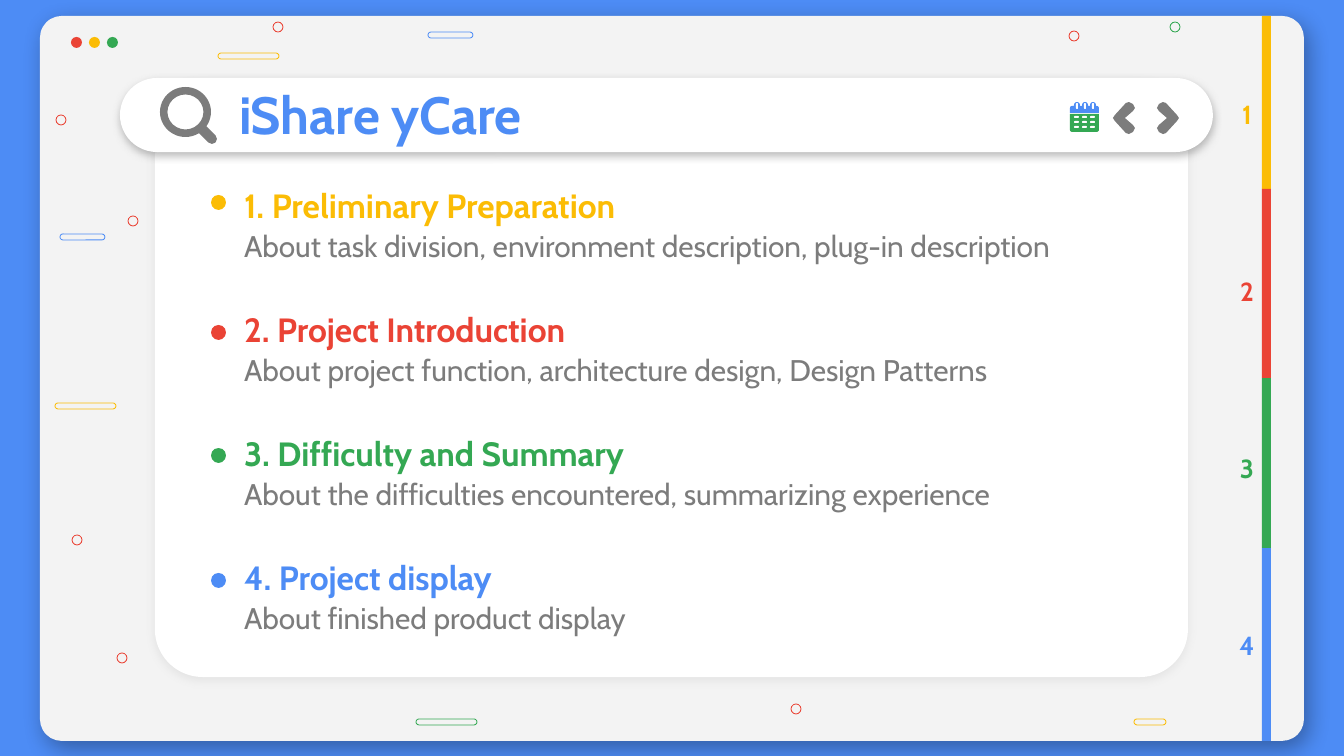
from lxml import etree
from pptx import Presentation
from pptx.dml.color import RGBColor
from pptx.enum.shapes import MSO_CONNECTOR, MSO_SHAPE
from pptx.enum.text import MSO_ANCHOR, MSO_AUTO_SIZE, PP_ALIGN
from pptx.oxml.ns import qn
from pptx.util import Pt

OVAL = MSO_SHAPE.OVAL
RECT = MSO_SHAPE.RECTANGLE
ROUNDED = MSO_SHAPE.ROUNDED_RECTANGLE
ROUND_TOP = MSO_SHAPE.ROUND_2_SAME_RECTANGLE
DONUT = MSO_SHAPE.DONUT
STRAIGHT = MSO_CONNECTOR.STRAIGHT
LEFT, CENTER = PP_ALIGN.LEFT, PP_ALIGN.CENTER
MIDDLE = MSO_ANCHOR.MIDDLE
NO_FIT = MSO_AUTO_SIZE.NONE

EMU_PER_PX = 914400 / 134.4
FONT = "Cabin"
BLUE, RED, YELLOW, GREEN = "4D8CF5", "EA4335", "FBBC05", "34A853"
GRAY, PALE, WHITE = "7C7C7C", "F3F3F3", "FFFFFF"
COLORS = [YELLOW, RED, GREEN, BLUE]

SECTIONS = [
    ("1. Preliminary Preparation",
     "About task division, environment description, plug-in description"),
    ("2. Project Introduction",
     "About project function, architecture design, Design Patterns"),
    ("3. Difficulty and Summary",
     "About the difficulties encountered, summarizing experience"),
    ("4. Project display", "About finished product display"),
]
SECTION_PITCH = 124
BULLET_TOPS = [195, 325, 448, 573]
TAB_EDGES = [16, 189, 378, 548, 741]
TAB_NUMBER_PITCH = 177

CIRCLES = [
    (72, 535, RED), (128, 216, RED), (56, 115, RED), (117, 653, RED),
    (1069, 31, RED), (1170, 22, GREEN), (273, 22, RED), (791, 704, RED),
]
PILLS = [
    (1134, 719, 32, YELLOW), (416, 719, 61, GREEN), (60, 234, 45, BLUE),
    (55, 403, 61, YELLOW), (428, 32, 45, BLUE), (218, 53, 61, YELLOW),
]


def px(n):
    return round(n * EMU_PER_PX)


def rgb(value):
    return RGBColor.from_string(value)


def paint(sp, fill=None, line=None):
    sp.shadow.inherit = False
    if fill:
        sp.fill.solid()
        sp.fill.fore_color.rgb = rgb(fill)
    else:
        sp.fill.background()
    if line:
        sp.line.color.rgb = rgb(line)
        sp.line.width = Pt(0.44)
    else:
        sp.line.fill.background()


def add_shape(shapes, kind, box, fill=None, line=None, adj=()):
    sp = shapes.add_shape(kind, *map(px, box))
    for i, value in enumerate(adj):
        sp.adjustments[i] = value
    paint(sp, fill, line)
    return sp


def add_shadow(sp, color, alpha, blur, dist, angle):
    effects = sp.element.spPr.find(qn("a:effectLst"))
    shadow = etree.SubElement(
        effects, qn("a:outerShdw"), blurRad=str(Pt(blur)), dist=str(Pt(dist)),
        dir=str(angle * 60000), algn="bl", rotWithShape="0")
    clr = etree.SubElement(shadow, qn("a:srgbClr"), val=color)
    etree.SubElement(clr, qn("a:alpha"), val=str(alpha * 1000))


def write(sp, text, size, color, bold=False, align=LEFT):
    tf = sp.text_frame
    tf.word_wrap = True
    tf.auto_size = NO_FIT
    tf.vertical_anchor = MIDDLE
    tf.margin_left = tf.margin_right = px(13)
    tf.margin_top = tf.margin_bottom = px(13)
    p = tf.paragraphs[0]
    p.alignment = align
    p.space_before = Pt(0)
    r = p.add_run()
    r.text = text
    r.font.name = FONT
    r.font.size = Pt(size)
    r.font.bold = bold
    r.font.color.rgb = rgb(color)


def add_text(s, box, *args, **kwargs):
    write(s.shapes.add_textbox(*map(px, box)), *args, **kwargs)


def fill_placeholder(ph, box, text, size, color):
    """Move a placeholder to the front, place it and write without a bullet."""
    ph.element.getparent().append(ph.element)
    ph.left, ph.top, ph.width, ph.height = map(px, box)
    write(ph, text, size, color, bold=True)
    pPr = ph.text_frame.paragraphs[0]._p.get_or_add_pPr()
    pPr.set("marL", "0")
    pPr.set("indent", "0")
    etree.SubElement(pPr, qn("a:buNone"))


def add_window(s):
    panel = add_shape(s.shapes, ROUNDED, (40, 16, 1264, 725), PALE, adj=[0.03])
    add_shadow(panel, "000000", 32, 12.4, 5.2, 57)
    card = add_shape(s.shapes, ROUNDED, (155, 80, 1033, 597), WHITE, adj=[0.08])
    add_shadow(card, GRAY, 12, 4.5, 1.5, 90)
    bar = add_shape(s.shapes, ROUNDED, (120, 78, 1093, 74), WHITE, adj=[0.5])
    add_shadow(bar, GRAY, 50, 4.5, 1.5, 90)
    for i, color in enumerate([RED, YELLOW, GREEN]):
        add_shape(s.shapes, OVAL, (71 + 18 * i, 37, 11, 11), color)


def add_confetti(s):
    for x, y, color in CIRCLES:
        add_shape(s.shapes, OVAL, (x, y, 10, 10), line=color)
    for x, y, w, color in PILLS:
        add_shape(s.shapes, ROUNDED, (x, y, w, 6), line=color, adj=[0.5])


def add_magnifier(s):
    add_shape(s.shapes, DONUT, (160, 87, 51, 50), GRAY, adj=[0.15])
    handle = s.shapes.add_connector(STRAIGHT, *map(px, (202, 129, 212, 139)))
    handle.line.color.rgb = rgb(GRAY)
    handle.line.width = px(10)
    handle.line._get_or_add_ln().set("cap", "rnd")
    etree.SubElement(handle.element.spPr, qn("a:effectLst"))


def add_chevron(s, back, direction):
    """Draw a rounded chevron from its open side towards its tip."""
    upper = [(22, 16), (20, 13), (9, 1), (6, 0), (2, 2), (0, 6), (2, 9), (10, 16)]
    outline = upper + [(x, 32 - y) for x, y in reversed(upper[1:-1])]
    points = [(px(back + direction * x), px(102 + y)) for x, y in outline]
    builder = s.shapes.build_freeform(*points[0])
    builder.add_line_segments(points[1:], close=True)
    paint(builder.convert_to_shape(), GRAY)


def add_calendar(s):
    shapes = s.shapes.add_group_shape().shapes
    add_shape(shapes, ROUND_TOP, (1070, 114, 29, 18), GREEN, adj=[0, 0.12])
    add_shape(shapes, ROUND_TOP, (1070, 106, 29, 7), BLUE, adj=[0.3, 0])
    for col in range(3):
        x = 1074 + 8 * col
        add_shape(shapes, ROUNDED, (x, 102, 6, 9), BLUE, adj=[0.5])
        add_shape(shapes, ROUNDED, (x + 2, 103, 2, 6), WHITE, adj=[0.5])
        for row in range(3):
            add_shape(shapes, ROUNDED, (x, 116 + 5 * row, 5, 2), WHITE, adj=[0.5])


def add_tabs(s):
    for i, color in enumerate(COLORS):
        top, bottom = TAB_EDGES[i:i + 2]
        add_shape(s.shapes, RECT, (1262, top, 9, bottom - top), color)
        add_text(s, (1215, 97 + TAB_NUMBER_PITCH * i, 64, 35),
                 str(i + 1), 14, color, bold=True, align=CENTER)


def add_sections(s):
    headings = list(s.placeholders)[1:]
    for i, (heading, description) in enumerate(SECTIONS):
        offset = SECTION_PITCH * i
        fill_placeholder(headings[i], (231, 183 + offset, 918, 44),
                         heading, 18, COLORS[i])
        add_text(s, (231, 224 + offset, 918, 44), description, 16, GRAY)
        add_shape(s.shapes, OVAL, (211, BULLET_TOPS[i], 15, 15), COLORS[i])


def main():
    prs = Presentation()
    prs.slide_width, prs.slide_height = px(1344), px(756)

    # The comparison layout has a title and four body placeholders
    s = prs.slides.add_slide(prs.slide_layouts[4])
    for ph in list(s.placeholders)[5:]:
        ph.element.getparent().remove(ph.element)
    s.background.fill.solid()
    s.background.fill.fore_color.rgb = rgb(BLUE)

    # Browser window and its decoration
    add_window(s)
    add_confetti(s)

    # Search bar
    add_magnifier(s)
    fill_placeholder(s.shapes.title, (226, 79, 816, 70), "iShare yCare", 28, BLUE)
    add_calendar(s)
    add_chevron(s, 1135, -1)
    add_chevron(s, 1157, 1)

    # Agenda and side tabs
    add_sections(s)
    add_tabs(s)

    prs.save("out.pptx")


if __name__ == "__main__":
    main()
